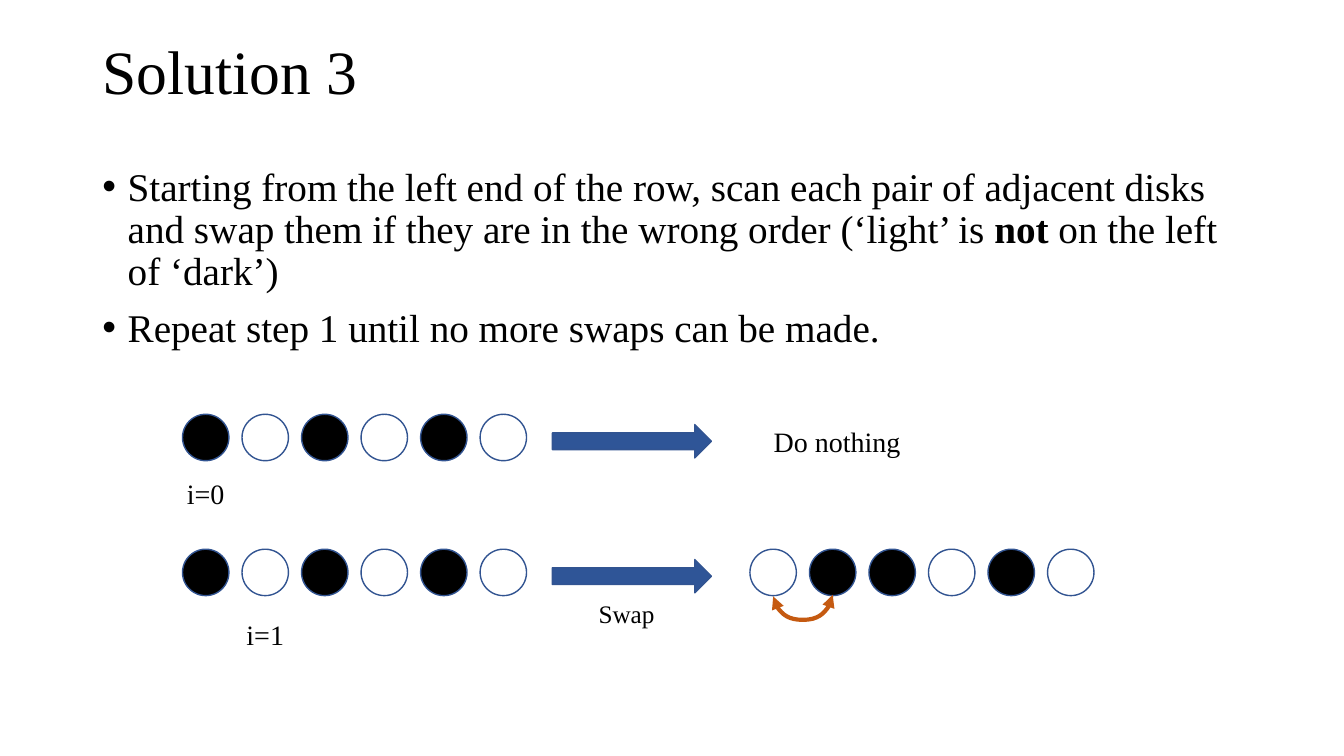
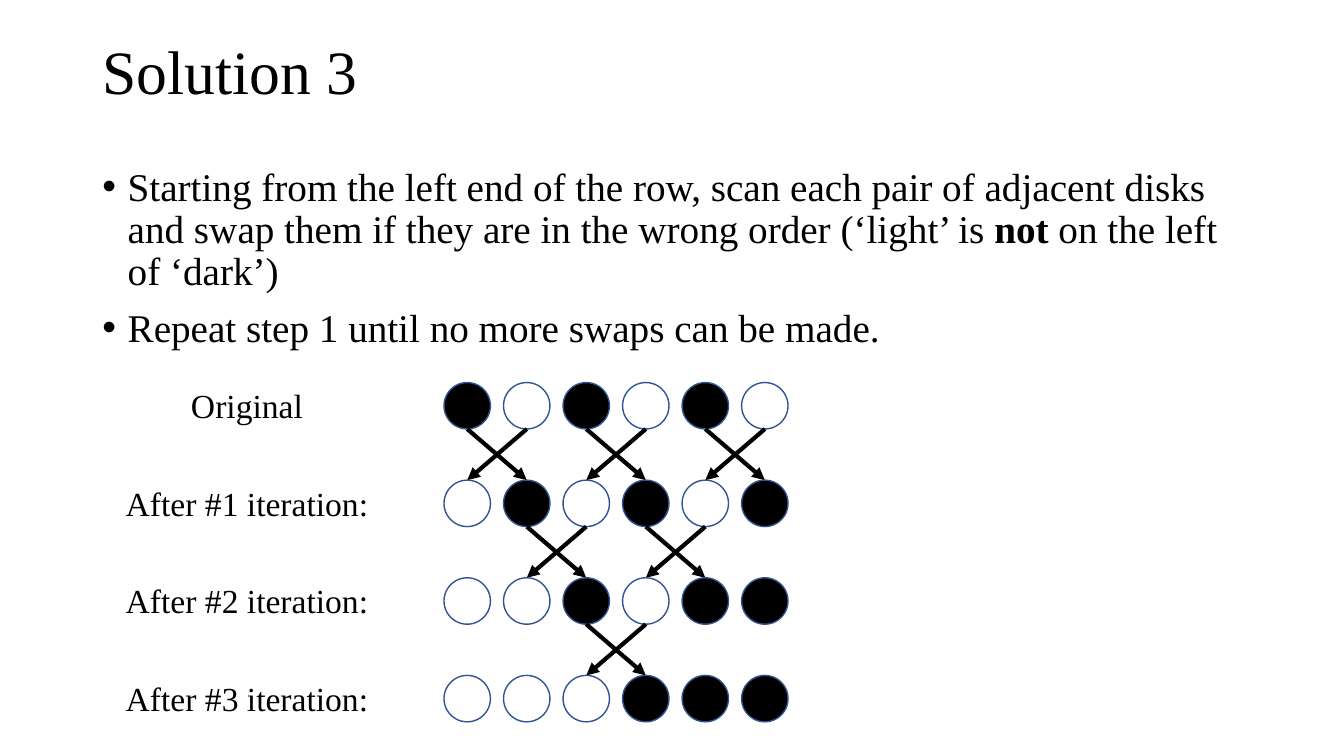
from lxml.etree import SubElement
from pptx import Presentation
from pptx.dml.color import RGBColor
from pptx.enum.shapes import MSO_CONNECTOR as LINK, MSO_SHAPE as SHAPE
from pptx.enum.text import MSO_ANCHOR as ANCHOR, PP_ALIGN as ALIGN
from pptx.oxml.ns import qn
from pptx.util import Cm, Pt

BLACK = RGBColor(0x00, 0x00, 0x00)
WHITE = RGBColor(0xFF, 0xFF, 0xFF)
OUTLINE = RGBColor(0x32, 0x54, 0x91)
STEP_BLUE = RGBColor(0x2F, 0x55, 0x97)
SWAP_ORANGE = RGBColor(0xC5, 0x5A, 0x11)
FONT = "Times New Roman"

DISK = 1.17
PITCH = 1.5
ROW_GAP = 2.46
START = "DLDLDL"

TITLE = "Solution 3"
TITLE_BOX = (2.33, 0.05, 29.21, 3.68)
RULES_BOX = (2.33, 4.09, 29.21, 13.06)
RULES = [
    [("Starting from the left end of the row, scan each pair of adjacent disks "
      "and swap them if they are in the wrong order (‘light’ is ", False),
     ("not", True),
     (" on the left of ‘dark’)", False)],
    [("Repeat step 1 until no more swaps can be made.", False)],
]


def style(run, size, bold=False):
    run.font.name = FONT
    run.font.size = Pt(size)
    run.font.bold = bold
    run.font.color.rgb = BLACK


def add_label(slide, box, text, size, align=ALIGN.CENTER):
    frame = slide.shapes.add_textbox(*map(Cm, box)).text_frame
    frame.word_wrap = True
    frame.text = text
    line = frame.paragraphs[0]
    line.alignment = align
    style(line.runs[0], size)
    return frame


def add_title(slide, box):
    frame = add_label(slide, box, TITLE, 44, ALIGN.LEFT)
    frame.vertical_anchor = ANCHOR.MIDDLE
    frame.paragraphs[0].line_spacing = 0.9


def add_rules(slide, box):
    frame = slide.shapes.add_textbox(*map(Cm, box)).text_frame
    frame.word_wrap = True
    for index, rule in enumerate(RULES):
        line = frame.add_paragraph() if index else frame.paragraphs[0]
        line.line_spacing = 0.9
        line.space_before = Pt(10)
        for text, bold in rule:
            run = line.add_run()
            run.text = text
            style(run, 28, bold)
        props = line._p.get_or_add_pPr()
        props.set("marL", str(Cm(0.64)))
        props.set("indent", str(-Cm(0.64)))
        SubElement(props, qn("a:buFont")).set("typeface", "Arial")
        SubElement(props, qn("a:buChar")).set("char", "•")


def add_filled(slide, kind, box, fill):
    shape = slide.shapes.add_shape(kind, *map(Cm, box))
    shape.shadow.inherit = False
    shape.fill.solid()
    shape.fill.fore_color.rgb = fill
    shape.line.color.rgb = OUTLINE
    shape.line.width = Pt(1)


def add_disks(slide, left, top, order):
    for index, disk in enumerate(order):
        box = (left + index * PITCH, top, DISK, DISK)
        add_filled(slide, SHAPE.OVAL, box, BLACK if disk == "D" else WHITE)


def add_arrow(slide, kind, start, end, color, heads):
    arrow = slide.shapes.add_connector(kind, *map(Cm, start + end))
    arrow.line.color.rgb = color
    arrow.line.width = Pt(3)
    outline = arrow.line._get_or_add_ln()
    for head in heads:
        SubElement(outline, qn(f"a:{head}")).set("type", "triangle")
    SubElement(arrow._element.spPr, qn("a:effectLst"))
    return arrow


def add_swap_curve(slide, left, top):
    thin, depth = 0.04, 0.63
    middle = left + PITCH / 2
    curve = add_arrow(slide, LINK.CURVE,
                      (middle - thin / 2, top - PITCH / 2),
                      (middle + thin / 2, top + PITCH / 2),
                      SWAP_ORANGE, ("headEnd", "tailEnd"))
    curve.rotation = 90
    props = curve._element.spPr
    props.find(qn("a:xfrm")).set("rot", "5400000")
    bend = SubElement(props.find(qn("a:prstGeom")).find(qn("a:avLst")), qn("a:gd"))
    bend.set("name", "adj1")
    bend.set("fmla", f"val {round(depth / thin * 100000)}")


def add_step(slide, left, top, index, label_drop):
    add_disks(slide, left, top, START)
    center = left + index * PITCH + DISK / 2
    add_label(slide, (center - 1.5, top + label_drop, 3, 1.11), f"i={index}", 20)
    add_filled(slide, SHAPE.RIGHT_ARROW, (left + 9.32, top + 0.26, 4.01, 0.84), STEP_BLUE)


def add_steps(slide, left, top):
    add_step(slide, left, top, 0, 1.45)
    add_label(slide, (left + 13.61, top + 0.12, 5.77, 1.11), "Do nothing", 20)

    swap_top = top + 3.4
    result_left = left + 14.3
    add_step(slide, left, swap_top, 1, 1.6)
    add_label(slide, (left + 10.11, swap_top + 1.12, 2.16, 1.02), "Swap", 18)
    add_disks(slide, result_left, swap_top, "LDDLDL")
    add_swap_curve(slide, result_left + DISK / 2, swap_top + DISK)


def add_swaps(slide, left, top, order):
    for index in range(len(order) - 1):
        if order[index:index + 2] == "DL":
            first = left + index * PITCH + DISK / 2
            for start, end in ((first, first + PITCH), (first + PITCH, first)):
                add_arrow(slide, LINK.STRAIGHT, (start, top + DISK),
                          (end, top + ROW_GAP), BLACK, ("tailEnd",))


def add_iterations(slide, left, top):
    order = START
    for iteration in range(4):
        row_top = top + iteration * ROW_GAP
        caption = f"After #{iteration} iteration:" if iteration else "Original"
        add_label(slide, (left, row_top - 0.06, 7.37, 1.28), caption, 24)
        add_disks(slide, left + 8.65, row_top, order)
        add_swaps(slide, left + 8.65, row_top, order)
        order = order.replace("DL", "LD")


def add_solution_slide(deck, add_example, left, top):
    slide = deck.slides.add_slide(deck.slide_layouts[6])
    add_title(slide, TITLE_BOX)
    add_rules(slide, RULES_BOX)
    add_example(slide, left, top)


def main():
    deck = Presentation()
    deck.slide_width = Cm(33.87)
    deck.slide_height = Cm(19.05)
    add_solution_slide(deck, add_steps, 4.6, 10.44)
    add_solution_slide(deck, add_iterations, 2.54, 9.64)
    deck.save("out.pptx")


if __name__ == "__main__":
    main()
